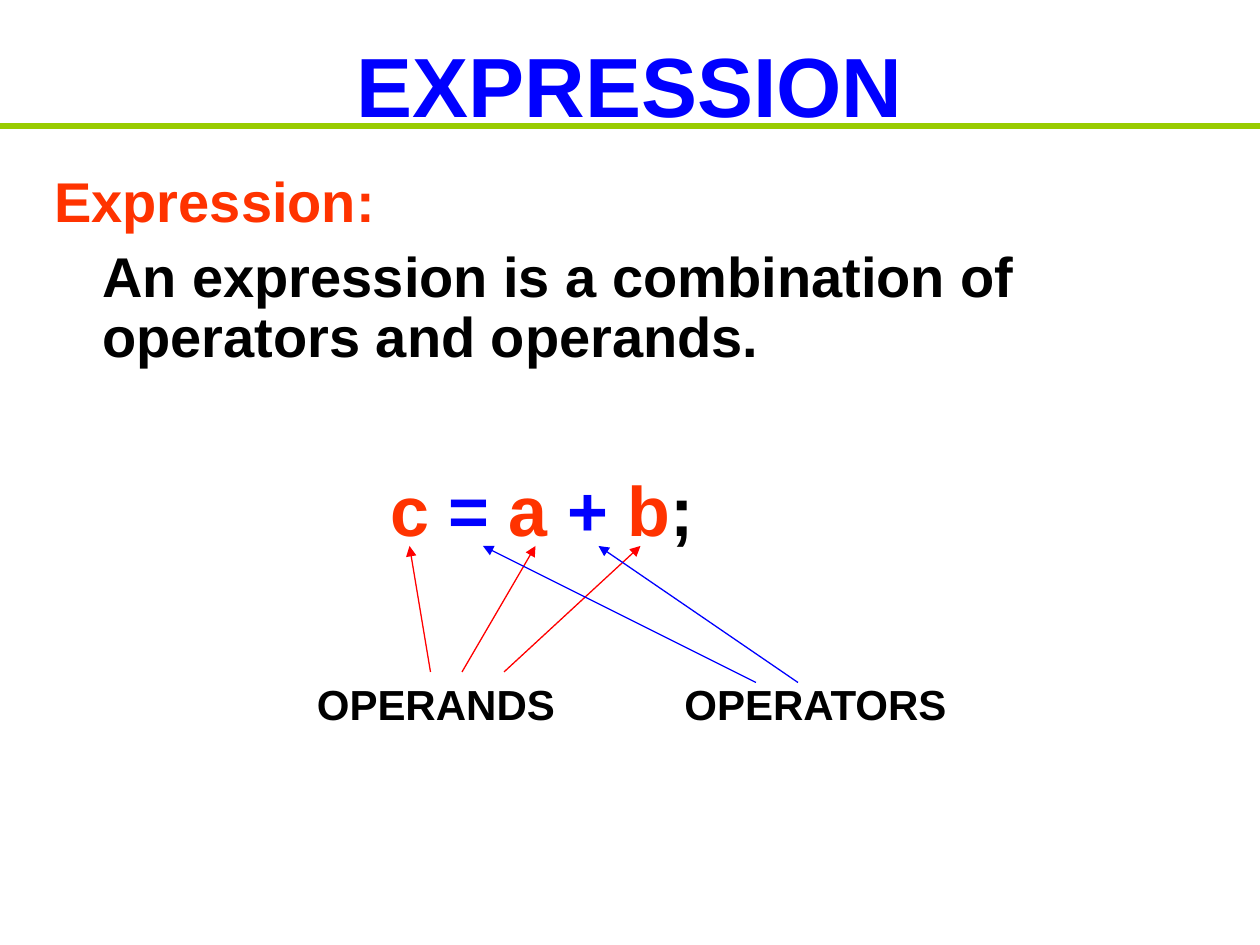
from dataclasses import dataclass

from lxml import etree
from pptx import Presentation
from pptx import util as u
from pptx.dml.color import RGBColor
from pptx.enum import shapes, text
from pptx.oxml.ns import qn

COLUMNS, ROWS = 120, 90
CELL = u.Inches(10) // COLUMNS


@dataclass(frozen=True)
class Theme:
    font: str = "Arial"
    ink: str = "000000"
    blue: str = "0000FF"
    orange: str = "FF3300"
    red: str = "FF0000"
    green: str = "99CC00"
    title: int = 48
    formula: int = 40
    body: int = 32
    label: int = 24


THEME = Theme()


def grid(*cells):
    return [u.Emu(round(cell * CELL)) for cell in cells]


def style(font, size, color=None):
    font.name, font.size, font.bold = THEME.font, u.Pt(size), True
    if color:
        font.color.rgb = RGBColor.from_string(color)


def add_title(slide, wording):
    title = slide.shapes.title
    title.left, title.top, title.width, title.height = grid(6, 0, 108, 16)
    frame = title.text_frame
    frame.text = wording
    frame.vertical_anchor = text.MSO_ANCHOR.MIDDLE
    frame.paragraphs[0].alignment = text.PP_ALIGN.CENTER
    style(frame.paragraphs[0].font, THEME.title, THEME.blue)


def add_text_frame(slide, *box):
    frame = slide.shapes.add_textbox(*grid(*box)).text_frame
    frame.word_wrap = True
    return frame


def add_definition(slide, term, meaning):
    frame = add_text_frame(slide, 4, 16, 109, 20)
    heading, explanation = frame.paragraphs[0], frame.add_paragraph()
    for paragraph, wording, color in ((heading, term, THEME.orange),
                                      (explanation, meaning, THEME.ink)):
        paragraph.text = wording
        paragraph.line_spacing = 0.9
        paragraph.space_before = u.Pt(8)
        style(paragraph.font, THEME.body, color)
    explanation._p.get_or_add_pPr().set("marL", str(u.Inches(0.38)))


def add_formula(slide, tokens):
    """Write (token, color) pairs on one line."""
    frame = add_text_frame(slide, 36, 43.8, 59, 9.2)
    frame.auto_size = text.MSO_AUTO_SIZE.SHAPE_TO_FIT_TEXT
    line = frame.paragraphs[0]
    line.space_before = u.Pt(25)
    style(line.font, THEME.formula)
    for token, color in tokens:
        run = line.add_run()
        run.text = token
        run.font.color.rgb = RGBColor.from_string(color)


def add_label(slide, wording, column):
    frame = add_text_frame(slide, column, 64, 28, 6)
    frame.auto_size = text.MSO_AUTO_SIZE.SHAPE_TO_FIT_TEXT
    label = frame.paragraphs[0]
    label.text = wording
    label.space_before = u.Pt(15)
    style(label.font, THEME.label, THEME.ink)


def add_line(slide, start, end, color, width, arrow=False):
    line = slide.shapes.add_connector(
        shapes.MSO_CONNECTOR.STRAIGHT, *grid(*start, *end))
    line.line.color.rgb = RGBColor.from_string(color)
    line.line.width = u.Pt(width)
    if arrow:
        etree.SubElement(line.line._get_or_add_ln(), qn("a:tailEnd"), type="triangle")
    etree.SubElement(line._element.spPr, qn("a:effectLst"))


def add_pointers(slide, row, columns, color):
    """Point from a label's row up to the formula; columns are (from, to) pairs."""
    for start, end in columns:
        add_line(slide, (start, row), (end, 52), color, 0.75, arrow=True)


def main():
    deck = Presentation()
    deck.slide_width, deck.slide_height = grid(COLUMNS, ROWS)
    slide = deck.slides.add_slide(deck.slide_layouts[5])

    add_title(slide, "EXPRESSION")
    add_definition(slide, "Expression:",
                   "An expression is a combination of operators and operands.")
    add_line(slide, (0, 12), (COLUMNS, 12), THEME.green, 3)

    operand, operator = THEME.orange, THEME.blue
    add_formula(slide, [("c ", operand), ("= ", operator), ("a ", operand),
                        ("+ ", operator), ("b", operand), (";", THEME.ink)])
    add_pointers(slide, 64, [(41, 39), (44, 51), (48, 61)], THEME.red)
    add_pointers(slide, 65, [(72, 46), (76, 57)], THEME.blue)
    add_label(slide, "OPERANDS", 29)
    add_label(slide, "OPERATORS", 64)

    deck.save("out.pptx")


if __name__ == "__main__":
    main()
